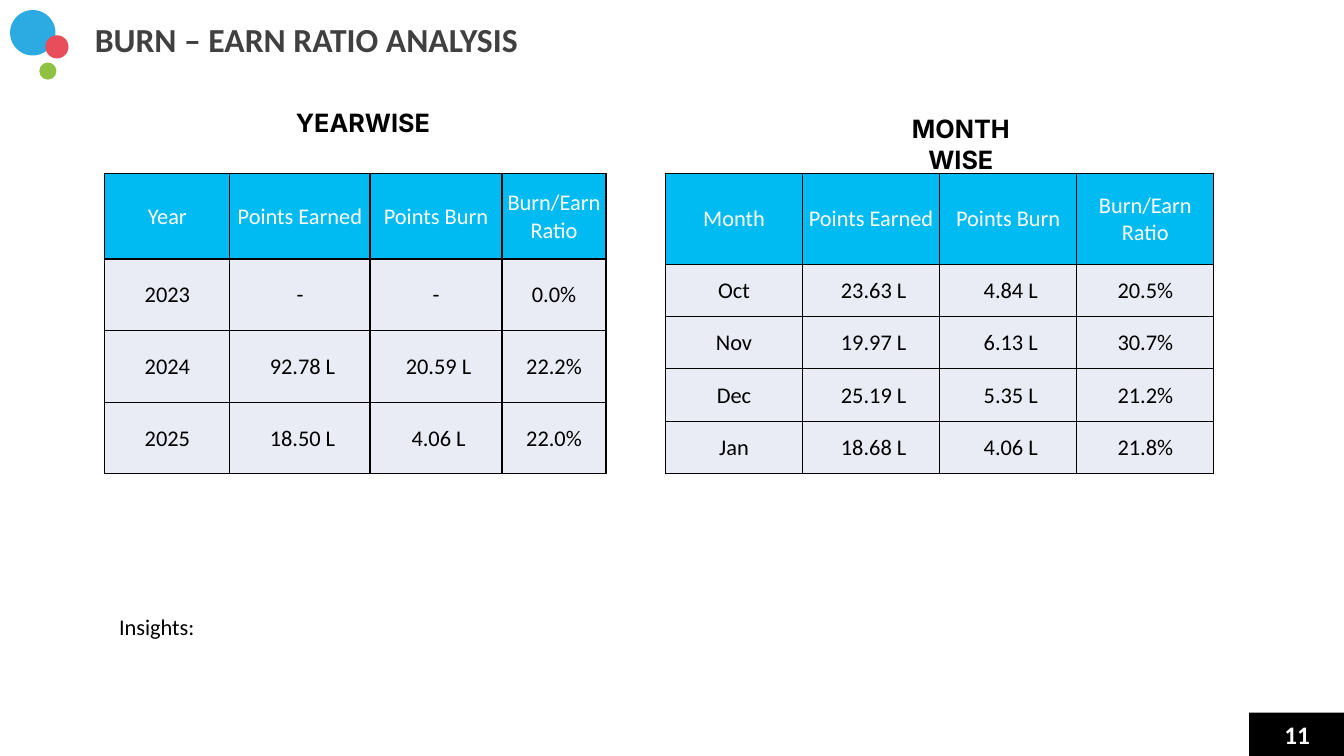
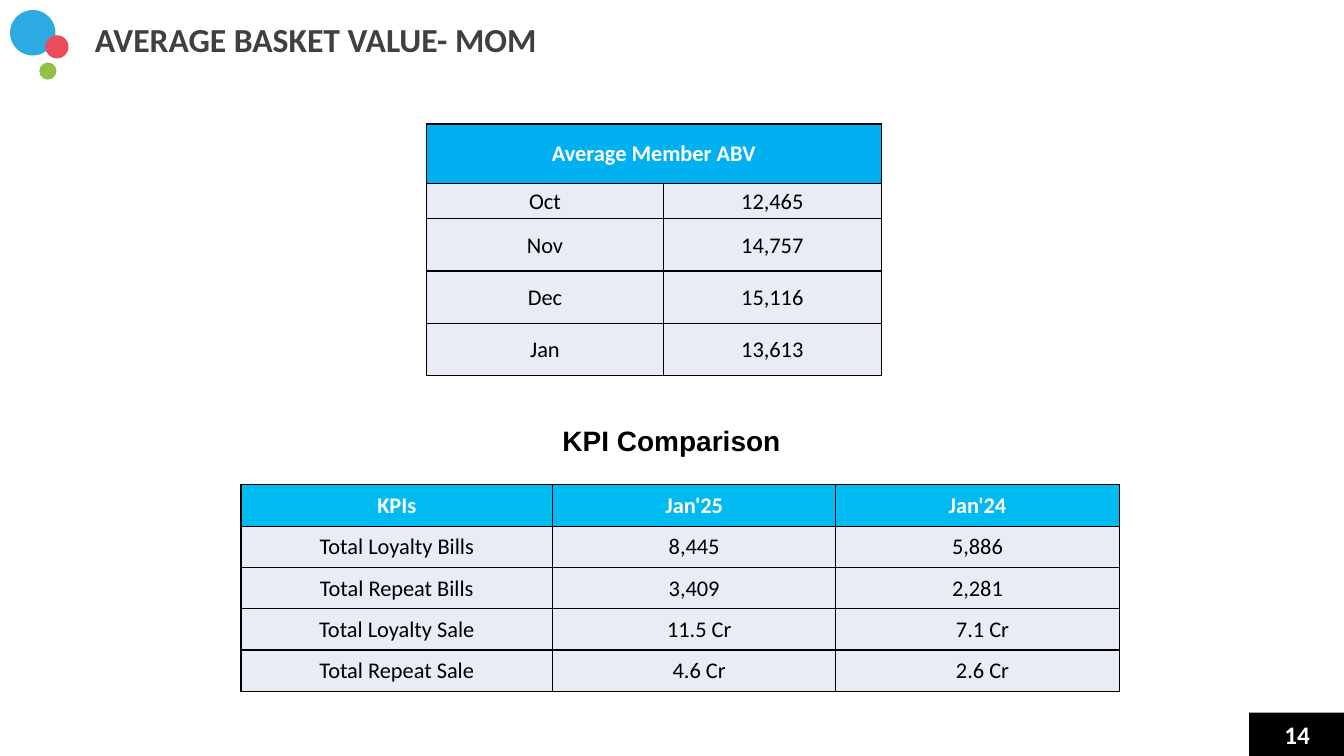
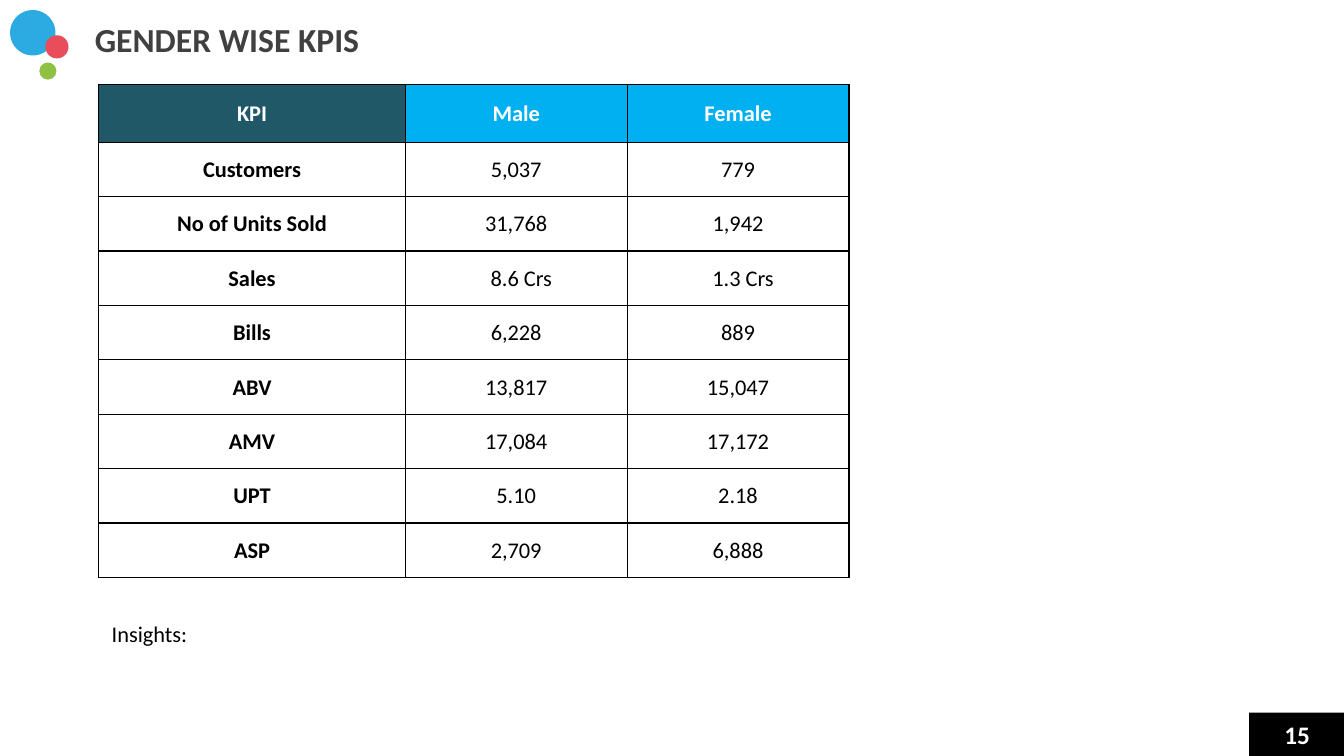
from lxml.etree import SubElement
from pptx import Presentation
from pptx.dml.color import RGBColor
from pptx.enum.shapes import MSO_SHAPE
from pptx.enum.text import MSO_ANCHOR, MSO_AUTO_SIZE, PP_ALIGN
from pptx.oxml.ns import qn
from pptx.util import Inches, Pt

BLACK, WHITE, GRAY = "000000", "FFFFFF", "404040"
CYAN, SKY, TEAL, PALE = "00BAF2", "00B0F0", "205868", "E9EBF5"
CIRCLES = [
    (0.1, 0.1, 0.45, "2CAAE2"),
    (0.45, 0.35, 0.23, "E94D5B"),
    (0.39, 0.62, 0.17, "8FC143"),
]
UNIT_INDENTS = {"L": 0.05, "Cr": 0.1, "Crs": 0.1}


def color(value):
    return RGBColor.from_string(value)


def inches(*lengths):
    return [Inches(length) for length in lengths]


def write_text(frame, text, size=16, font="Calibri", ink=BLACK, bold=False,
               align=PP_ALIGN.CENTER):
    para = frame.paragraphs[0]
    para.alignment = align
    span = para.add_run()
    span.text = text
    span.font.size = Pt(size)
    span.font.name = font
    span.font.bold = bold
    span.font.color.rgb = color(ink)


def set_margins(holder, left, top, right, bottom):
    holder.margin_left, holder.margin_top = Inches(left), Inches(top)
    holder.margin_right, holder.margin_bottom = Inches(right), Inches(bottom)


def add_figure(page, kind, box, fill=None):
    figure = page.shapes.add_shape(kind, *inches(*box))
    figure.shadow.inherit = False
    figure.line.fill.background()
    if fill:
        figure.fill.solid()
        figure.fill.fore_color.rgb = color(fill)
    else:
        figure.fill.background()
    return figure


def add_label(page, box, text, wrap=True, **style):
    label = page.shapes.add_textbox(*inches(*box))
    label.text_frame.word_wrap = wrap
    write_text(label.text_frame, text, **style)
    return label


def add_circles_to_layout(page, layout):
    for number, (left, top, size, fill) in enumerate(CIRCLES, 20):
        circle = add_figure(page, MSO_SHAPE.OVAL, (left, top, size, size), fill)
        circle.element.nvSpPr.cNvPr.set("id", str(number))
        layout.shapes.element.append(circle.element)


def add_page(deck, layout, title_text, number):
    page = deck.slides.add_slide(layout)
    title = page.shapes.title
    title.left, title.top, title.width, title.height = inches(0.94, 0.17, 10.7, 0.42)
    frame = title.text_frame
    frame.auto_size = MSO_AUTO_SIZE.NONE
    frame.vertical_anchor = MSO_ANCHOR.MIDDLE
    set_margins(frame, 0, 0.01, 0, 0)
    write_text(frame, title_text, size=24, ink=GRAY, bold=True, align=PP_ALIGN.LEFT)
    badge = add_figure(page, MSO_SHAPE.RECTANGLE, (12.39, 7.07, 0.95, 0.43), BLACK)
    badge.text_frame.vertical_anchor = MSO_ANCHOR.MIDDLE
    write_text(badge.text_frame, str(number), size=18, ink=WHITE, bold=True)
    return page


def add_borders(cell):
    properties = cell._tc.get_or_add_tcPr()
    for side in ("lnL", "lnR", "lnT", "lnB"):
        line = SubElement(properties, qn(f"a:{side}"), w=str(Pt(1)))
        SubElement(SubElement(line, qn("a:solidFill")), qn("a:srgbClr"), val=BLACK)


def format_cell(cell, text, fill, **style):
    add_borders(cell)
    if fill:
        cell.fill.solid()
        cell.fill.fore_color.rgb = color(fill)
    else:
        cell.fill.background()
    cell.vertical_anchor = MSO_ANCHOR.MIDDLE
    unit = text.split()[-1] if text else ""
    set_margins(cell, 0.01 + UNIT_INDENTS.get(unit, 0), 0.01, 0.01, 0)
    if text:
        write_text(cell.text_frame, text, **style)


def add_grid(page, left, top, widths, heights, rows, header_fills,
             body_fill=PALE, header_bold=True, label_bold=False):
    box = inches(left, top, sum(widths), sum(heights))
    table = page.shapes.add_table(len(heights), len(widths), *box).table
    table.horz_banding = False
    for column, width in zip(table.columns, widths):
        column.width = Inches(width)
    for row, height in zip(table.rows, heights):
        row.height = Inches(height)
    for row_index, values in enumerate(rows):
        for column_index, text in enumerate(values):
            cell = table.cell(row_index, column_index)
            if row_index == 0:
                format_cell(cell, text, header_fills[column_index], ink=WHITE,
                            bold=header_bold)
            else:
                format_cell(cell, text, body_fill,
                            bold=label_bold and column_index == 0)
    return table


def fill_ratio_page(page):
    measures = ["Points Earned", "Points Burn", "Burn/Earn Ratio"]
    months = [
        ["Month", *measures],
        ["Oct", "23.63 L", "4.84 L", "20.5%"],
        ["Nov", "19.97 L", "6.13 L", "30.7%"],
        ["Dec", "25.19 L", "5.35 L", "21.2%"],
        ["Jan", "18.68 L", "4.06 L", "21.8%"],
    ]
    years = [
        ["Year", *measures],
        ["2023", "-", "-", "0.0%"],
        ["2024", "92.78 L", "20.59 L", "22.2%"],
        ["2025", "18.50 L", "4.06 L", "22.0%"],
    ]
    add_grid(page, 6.6, 1.72, [1.36] * 4, [0.9] + [0.52] * 4, months, [CYAN] * 4,
             header_bold=False)
    add_grid(page, 1.04, 1.72, [1.24, 1.39, 1.31, 1.03], [0.85] + [0.71] * 3, years,
             [CYAN] * 4, header_bold=False)
    heading = dict(size=18, font="Inter", bold=True)
    add_label(page, (2.83, 1.02, 1.54, 0.4), "YEARWISE", wrap=False, **heading)
    add_label(page, (8.61, 1.08, 1.84, 0.4), "MONTH WISE", **heading)
    insights = add_figure(page, MSO_SHAPE.ROUNDED_RECTANGLE, (1.04, 5.41, 10.28, 1.61))
    insights.adjustments[0] = 0.09
    insights.text_frame.vertical_anchor = MSO_ANCHOR.MIDDLE
    set_margins(insights.text_frame, 0.1, 0.1, 0.1, 0.1)
    write_text(insights.text_frame, "Insights:", align=PP_ALIGN.LEFT)


def fill_basket_page(page):
    averages = [
        ["Average Member ABV", ""],
        ["Oct", "12,465"],
        ["Nov", "14,757"],
        ["Dec", "15,116"],
        ["Jan", "13,613"],
    ]
    comparison = [
        ["KPIs", "Jan'25", "Jan'24"],
        ["Total Loyalty Bills", "8,445", "5,886"],
        ["Total Repeat Bills", "3,409", "2,281"],
        ["Total Loyalty Sale", "11.5 Cr", "7.1 Cr"],
        ["Total Repeat Sale", "4.6 Cr", "2.6 Cr"],
    ]
    table = add_grid(page, 4.23, 1.23, [2.35, 2.16], [0.59, 0.35] + [0.52] * 3,
                     averages, [SKY] * 2)
    table.cell(0, 0).merge(table.cell(0, 1))
    add_grid(page, 2.39, 4.81, [3.09, 2.81, 2.81], [0.41] * 5, comparison, [CYAN] * 3)
    heading = add_label(page, (2.18, 4.1, 8.96, 0.54), "KPI Comparison", size=20,
                        font="Arial", bold=True)
    set_margins(heading.text_frame, 0.1, 0.1, 0.1, 0.1)


def fill_gender_page(page):
    indicators = [
        ["KPI", "Male", "Female"],
        ["Customers", "5,037", "779"],
        ["No of Units Sold", "31,768", "1,942"],
        ["Sales", "8.6 Crs", "1.3 Crs"],
        ["Bills", "6,228", "889"],
        ["ABV", "13,817", "15,047"],
        ["AMV", "17,084", "17,172"],
        ["UPT", "5.10", "2.18"],
        ["ASP", "2,709", "6,888"],
    ]
    add_label(page, (1.01, 6.1, 10.15, 0.37), "Insights:", align=PP_ALIGN.LEFT)
    add_grid(page, 0.98, 0.84, [3.04, 2.2, 2.2], [0.57] + [0.54] * 8, indicators,
             [TEAL, SKY, SKY], body_fill=None, label_bold=True)


def main():
    deck = Presentation()
    deck.slide_width, deck.slide_height = inches(13.33, 7.5)
    layout = deck.slide_layouts.get_by_name("Title Only")
    pages = [
        ("BURN – EARN RATIO ANALYSIS", 11, fill_ratio_page),
        ("AVERAGE BASKET VALUE- MOM", 14, fill_basket_page),
        ("GENDER WISE KPIS", 15, fill_gender_page),
    ]
    for title_text, number, fill_page in pages:
        fill_page(add_page(deck, layout, title_text, number))
    add_circles_to_layout(deck.slides[0], layout)
    deck.save("out.pptx")


if __name__ == "__main__":
    main()
